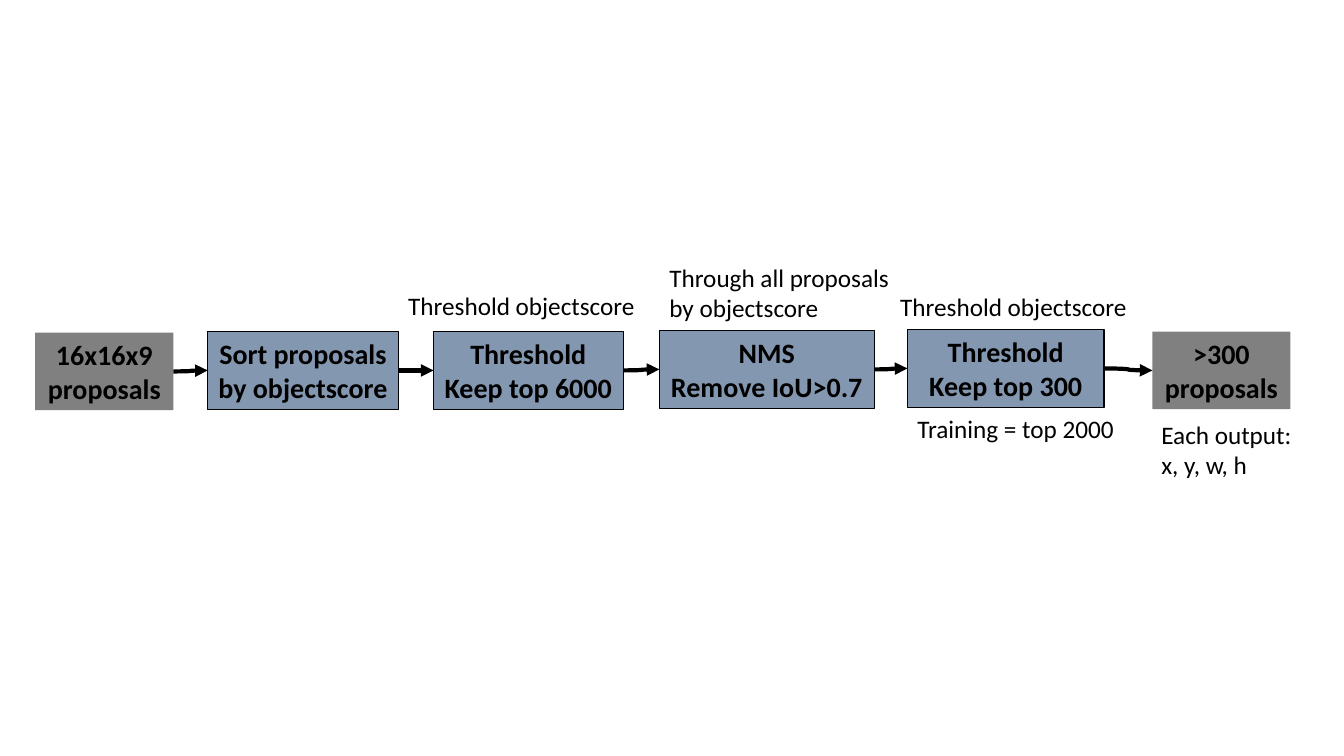
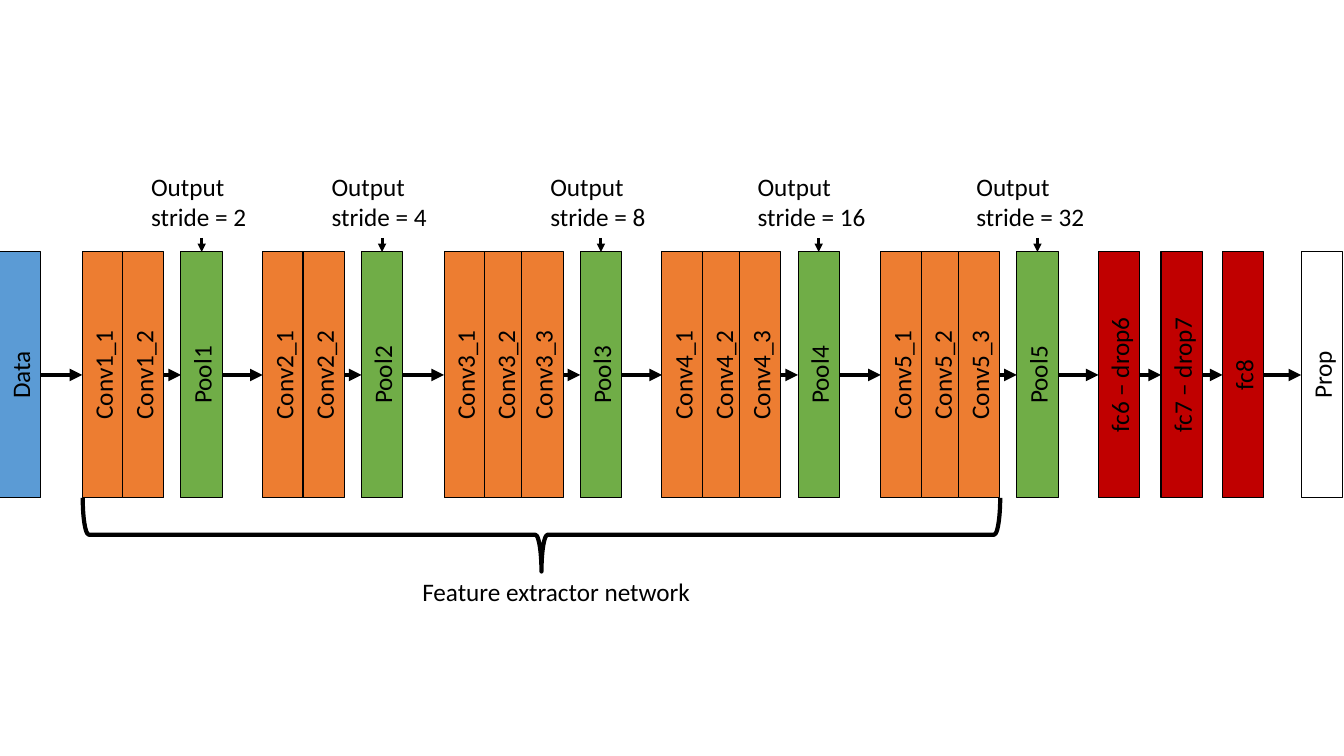
from dataclasses import dataclass
from itertools import pairwise

from lxml.etree import SubElement
from pptx import Presentation
from pptx.dml.color import RGBColor
from pptx.enum.shapes import MSO_CONNECTOR as CONN, MSO_SHAPE as SHAPE
from pptx.enum.text import MSO_ANCHOR as ANCHOR, PP_ALIGN as ALIGN
from pptx.oxml.ns import qn
from pptx.util import Inches, Pt


# Theme: colours, type sizes and line widths
@dataclass(frozen=True)
class Theme:
    font: str = "Calibri"
    ink: str = "000000"
    data: str = "5B9BD5"
    conv: str = "ED7D31"
    pool: str = "70AD47"
    dense: str = "C00000"
    prop: str = "FFFFFF"
    step: str = "8497B0"
    proposals: str = "808080"
    step_size: int = 20
    label_size: int = 18
    outline: float = 0.75
    arrow: float = 3
    pointer: float = 2


T = Theme()


def rgb(value):
    return RGBColor.from_string(value)


class Deck:
    """Holds the presentation, its style and the current slide."""

    def __init__(self, width, height):
        self.prs = Presentation()
        self.prs.slide_width, self.prs.slide_height = Inches(width), Inches(height)
        self.s = None

    def new_slide(self):
        self.s = self.prs.slides.add_slide(self.prs.slide_layouts[6])

    def put_text(self, tf, text, size, bold=False, align=ALIGN.LEFT):
        tf.word_wrap = True
        for i, line in enumerate(text.split("\n")):
            p = tf.paragraphs[0] if i == 0 else tf.add_paragraph()
            p.alignment = align
            r = p.add_run()
            r.text = line
            for name, value in {"name": T.font, "size": Pt(size), "bold": bold}.items():
                setattr(r.font, name, value)
            r.font.color.rgb = rgb(T.ink)

    def label(self, text, x, y, w, h=0.4):
        sp = self.s.shapes.add_textbox(*map(Inches, (x, y, w, h)))
        self.put_text(sp.text_frame, text, T.label_size)

    def box(self, text, x, y, w, h, fill, size, bold=False, outlined=True, margin=0.05):
        sp = self.s.shapes.add_shape(SHAPE.RECTANGLE, *map(Inches, (x, y, w, h)))
        sp.shadow.inherit = False
        sp.fill.solid()
        sp.fill.fore_color.rgb = rgb(fill)
        if outlined:
            self.stroke(sp.line, T.outline)
        else:
            sp.line.fill.background()
        tf = sp.text_frame
        tf.vertical_anchor = ANCHOR.MIDDLE
        for side in ("left", "right", "top", "bottom"):
            setattr(tf, f"margin_{side}", Inches(margin))
        self.put_text(tf, text, size, bold, ALIGN.CENTER)
        return sp

    def bar(self, text, centre, fill):
        """Layer bar with text that reads upwards."""
        sp = self.box(text, centre - BAR_W / 2, BAR_TOP, BAR_W, BAR_H,
                      fill, T.label_size, margin=0)
        sp.text_frame._txBody.bodyPr.set("vert", "vert270")
        return sp

    def stroke(self, line, width):
        line.color.rgb = rgb(T.ink)
        line.width = Pt(width)

    def arrow(self, kind, target, site, width, source=None, start=(0, 0)):
        """Arrow to a side of target, from the right of source or a point."""
        x, y = map(Inches, start)
        cn = self.s.shapes.add_connector(kind, x, y, x, y)
        if source is not None:
            cn.begin_connect(source, 3)
        cn.end_connect(target, site)
        self.stroke(cn.line, width)
        SubElement(cn.line._get_or_add_ln(), qn("a:tailEnd"), type="triangle")
        SubElement(cn._element.spPr, qn("a:effectLst"))

    def brace(self, left, right, top, depth):
        """Brace below a span, pointing down."""
        span = right - left
        x, y = (left + right - depth) / 2, top + (depth - span) / 2
        sp = self.s.shapes.add_shape(SHAPE.RIGHT_BRACE, *map(Inches, (x, y, depth, span)))
        sp.rotation = 90
        sp.shadow.inherit = False
        sp.fill.background()
        self.stroke(sp.line, T.arrow)


# Proposal filtering: text, left, top, width, fill
STEP_H = 0.77
STEPS = [
    ("16x16x9\nproposals", 0.35, 3.3, 1.37, T.proposals),
    ("Sort proposals by objectscore", 2.06, 3.29, 1.89, T.step),
    ("Threshold\nKeep top 6000", 4.3, 3.29, 1.88, T.step),
    ("NMS\nRemove IoU>0.7", 6.54, 3.28, 2.13, T.step),
    ("Threshold\nKeep top 300", 9, 3.27, 1.95, T.step),
    (">300\nproposals", 11.43, 3.29, 1.37, T.proposals),
]
STEP_NOTES = [
    ("Threshold objectscore", 3.95, 2.83, 2.75),
    ("Through all proposals\nby objectscore", 6.54, 2.55, 2.75),
    ("Threshold objectscore", 8.83, 2.84, 2.75),
    ("Training = top 2000", 9, 4.05, 2.75),
    ("Each output:\nx, y, w, h", 11.42, 4.11, 1.9),
]

# Network: pool centres with conv counts, and conv distances before a pool
BAR_W, BAR_H, BAR_TOP = 0.41, 2.44, 2.5
POOLS = [(2, 2), (3.79, 2), (5.96, 3), (8.12, 3), (10.29, 3)]
CONV_BACK = {2: (0.98, 0.58), 3: (1.35, 0.95, 0.58)}
HEAD = [
    ("fc6 – drop6", 11.1, T.dense),
    ("fc7 – drop7", 11.72, T.dense),
    ("fc8", 12.33, T.dense),
    ("Prop", 13.11, T.prop),
]


def proposal_slide(deck):
    deck.new_slide()
    boxes = [deck.box(text, x, y, w, STEP_H, fill, T.step_size, bold=True,
                      outlined=fill == T.step)
             for text, x, y, w, fill in STEPS]
    for source, target in pairwise(boxes):
        deck.arrow(CONN.CURVE, target, 1, T.arrow, source)
    for note in STEP_NOTES:
        deck.label(*note)


def network_slide(deck):
    deck.new_slide()
    # Groups of touching bars; arrows run between groups
    groups = [[deck.bar("Data", 0.2, T.data)]]
    for n, (centre, count) in enumerate(POOLS, 1):
        groups.append([deck.bar(f"Conv{n}_{i}", centre - back, T.conv)
                       for i, back in enumerate(CONV_BACK[count], 1)])
        pool = deck.bar(f"Pool{n}", centre, T.pool)
        groups.append([pool])

        # Stride label and pointer above the pool
        stride = 2 ** n
        width = 1.2 if stride < 10 else 1.41
        deck.label(f"Output\nstride = {stride}", centre - width / 2, 1.65, width, 0.71)
        deck.arrow(CONN.STRAIGHT, pool, 0, T.pointer, start=(centre, 2.36))
    groups += [[deck.bar(*layer)] for layer in HEAD]
    for before, after in pairwise(groups):
        deck.arrow(CONN.STRAIGHT, after[0], 1, T.arrow, before[-1])

    # Span of the feature extractor
    deck.brace(0.82, 9.92, BAR_TOP + BAR_H, 0.73)
    deck.label("Feature extractor network", 4.09, 5.67, 3.16)


def main():
    deck = Deck(13.33, 7.5)
    proposal_slide(deck)
    network_slide(deck)
    deck.prs.save("out.pptx")


if __name__ == "__main__":
    main()
